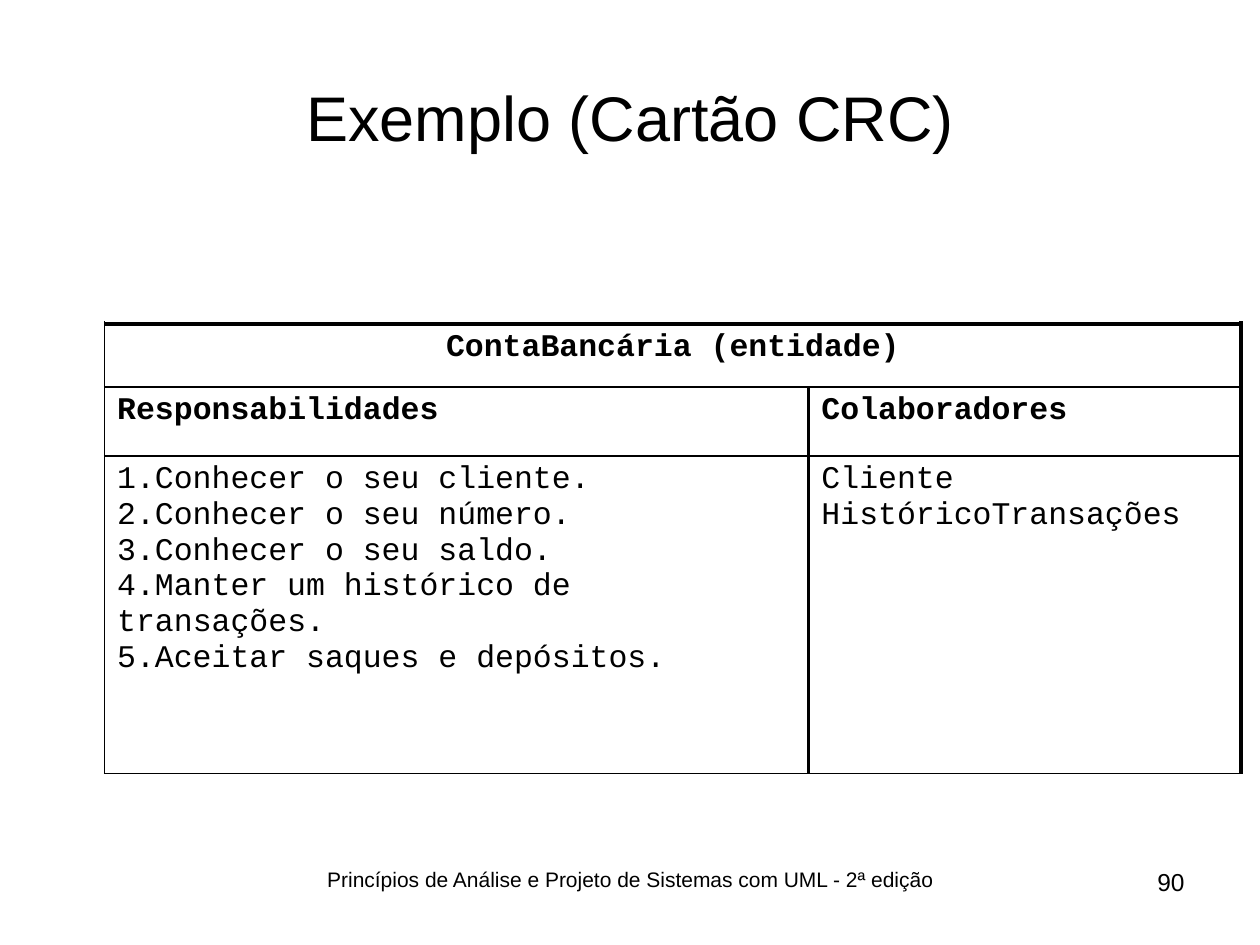
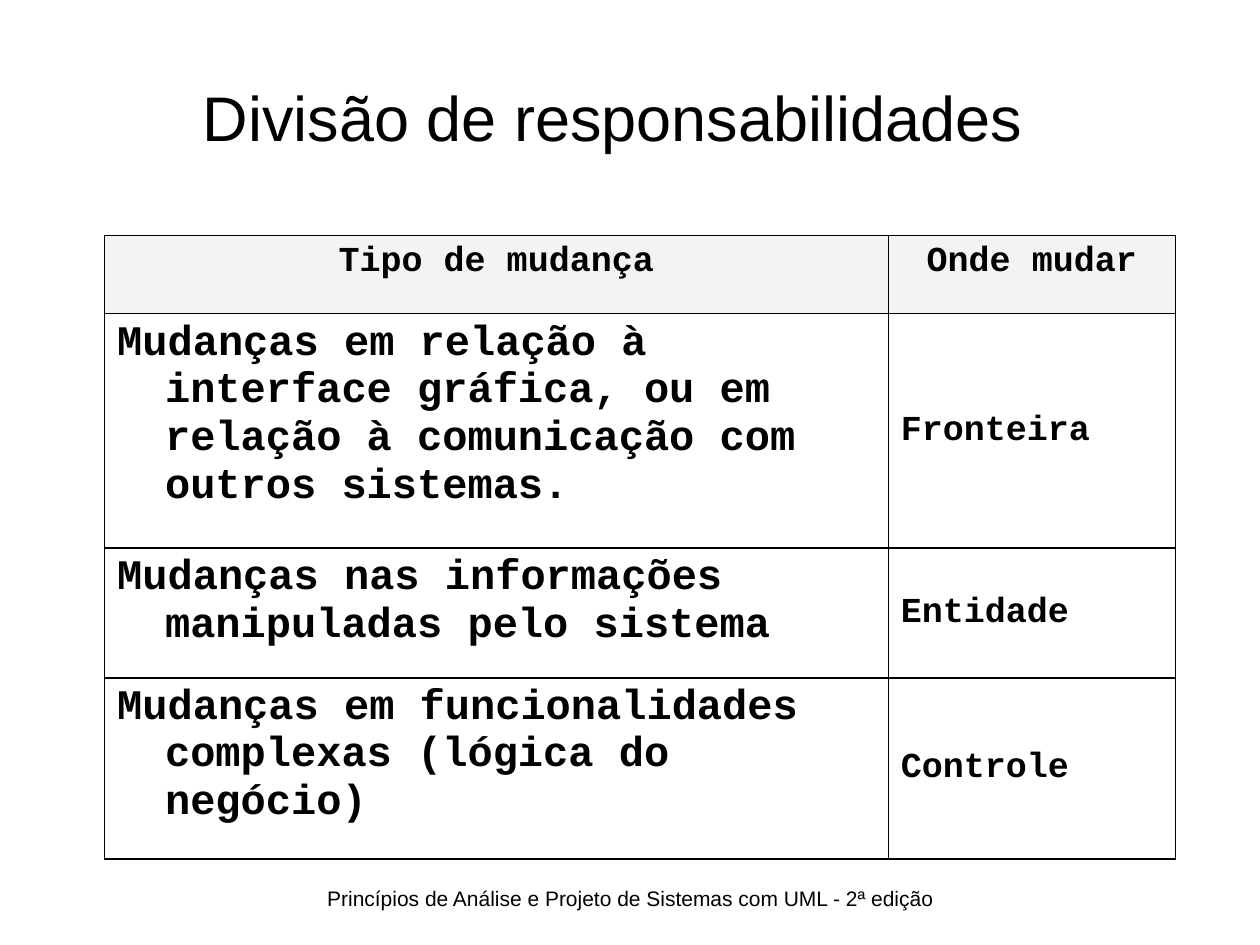
from dataclasses import dataclass

from lxml.etree import SubElement
from pptx import Presentation
from pptx.dml.color import RGBColor
from pptx.enum.text import MSO_ANCHOR as Anchor, PP_ALIGN as Align
from pptx.oxml.ns import qn
from pptx.util import Inches, Pt


@dataclass(frozen=True)
class Theme:
    ink: str = "000000"
    paper: str = "FFFFFF"
    header_fill: str = "F3F3F3"
    sans: str = "Arial"
    mono: str = "Courier New"
    title: int = 36
    footer: int = 12
    page: int = 14
    card: int = 18
    label: int = 20
    change: int = 24


THEME = Theme()
FOOTER = "Princípios de Análise e Projeto de Sistemas com UML - 2ª edição"
HANGING = {"marL": Inches(0.38), "indent": -Inches(0.38)}
THIN = {"L": 1, "R": 1, "T": 1, "B": 1}


def set_attributes(target, values):
    for name, value in values.items():
        setattr(target, name, value)


def write(frame, lines, size, font, align=None, bold=False):
    """Fill a text frame with one paragraph per line."""
    for index, line in enumerate(lines):
        paragraph = frame.paragraphs[0] if index == 0 else frame.add_paragraph()
        paragraph.alignment = align
        run = paragraph.add_run()
        run.text = line
        set_attributes(run.font, {"size": Pt(size), "name": font, "bold": bold})
        run.font.color.rgb = RGBColor.from_string(THEME.ink)


def place(shape, left, top, width, height):
    set_attributes(shape, {"left": Inches(left), "top": Inches(top),
                           "width": Inches(width), "height": Inches(height)})


def add_titled_slide(deck, title, right_inset=0.1):
    slide = deck.slides.add_slide(deck.slide_layouts[5])
    heading = slide.shapes.title
    place(heading, 0.5, 0.3, 9, 1.25)
    set_attributes(heading.text_frame, {"vertical_anchor": Anchor.MIDDLE,
                                        "margin_right": Inches(right_inset)})
    write(heading.text_frame, [title], THEME.title, THEME.sans, Align.CENTER)
    return slide


def add_note(slide, text, left, top, width, size, align):
    note = slide.shapes.add_textbox(Inches(left), Inches(top), Inches(width), Inches(0.52))
    note.text_frame.word_wrap = True
    write(note.text_frame, [text], size, THEME.sans, align)


def add_footer(slide, top):
    add_note(slide, FOOTER, 1.92, top, 6.17, THEME.footer, Align.CENTER)


def add_grid(slide, left, top, columns, rows):
    """Add a plain table with the given column widths and row heights."""
    frame = slide.shapes.add_table(len(rows), len(columns), Inches(left), Inches(top),
                                   Inches(sum(columns)), Inches(sum(rows)))
    grid = frame.table
    set_attributes(grid, {"first_row": False, "horz_banding": False})
    for column, width in zip(grid.columns, columns):
        column.width = Inches(width)
    for row, height in zip(grid.rows, rows):
        row.height = Inches(height)
    return grid


def style_cell(cell, borders, fill=THEME.paper):
    properties = cell._tc.get_or_add_tcPr()
    for side, width in borders.items():
        line = SubElement(properties, qn(f"a:ln{side}"), w=str(Pt(width)))
        SubElement(SubElement(line, qn("a:solidFill")), qn("a:srgbClr"), val=THEME.ink)
    cell.fill.solid()
    cell.fill.fore_color.rgb = RGBColor.from_string(fill)


def number_lines(frame):
    for paragraph in frame.paragraphs:
        properties = paragraph._p.get_or_add_pPr()
        SubElement(properties, qn("a:buFont"), typeface=THEME.mono)
        SubElement(properties, qn("a:buAutoNum"), type="arabicPeriod")
        tabs = SubElement(properties, qn("a:tabLst"))
        SubElement(tabs, qn("a:tab"), pos=str(Inches(0.25)), algn="l")


def hang_lines(frame):
    for paragraph in frame.paragraphs:
        for name, value in HANGING.items():
            paragraph._p.get_or_add_pPr().set(name, str(value))


def build_crc_card(deck):
    slide = add_titled_slide(deck, "Exemplo (Cartão CRC)")
    add_footer(slide, 6.83)
    add_note(slide, "90", 8.17, 6.83, 1.33, THEME.page, Align.RIGHT)

    card = add_grid(slide, 0.83, 2.57, [5.59, 3.43], [0.5, 0.55, 2.52])
    responsibilities = ["Conhecer o seu cliente.", "Conhecer o seu número.",
                        "Conhecer o seu saldo.", "Manter um histórico de transações.",
                        "Aceitar saques e depósitos."]
    collaborators = ["Cliente", "HistóricoTransações"]

    # Class name across both columns
    card.cell(0, 0).merge(card.cell(0, 1))
    write(card.cell(0, 0).text_frame, ["ContaBancária (entidade)"], THEME.card, THEME.mono,
          Align.CENTER, True)
    for column in range(2):
        style_cell(card.cell(0, column), THIN | {"T": 3, "R": 3})

    # Heading and list of each column
    parts = [("Responsabilidades", responsibilities, THIN | {"R": 2}),
             ("Colaboradores", collaborators, THIN | {"L": 2, "R": 3})]
    for column, (heading, items, borders) in enumerate(parts):
        write(card.cell(1, column).text_frame, [heading], THEME.card, THEME.mono,
              Align.JUSTIFY, True)
        write(card.cell(2, column).text_frame, items, THEME.card, THEME.mono)
        for row in (1, 2):
            style_cell(card.cell(row, column), borders)
    number_lines(card.cell(2, 0).text_frame)


def build_responsibility_split(deck):
    # The wider inset sets the heading slightly left of centre
    slide = add_titled_slide(deck, "Divisão de responsabilidades", right_inset=0.38)
    split = add_grid(slide, 0.83, 1.87, [6.22, 2.28], [0.62, 1.86, 1.03, 1.44])
    entries = [
        ("Tipo de mudança", "Onde mudar"),
        ("Mudanças em relação à interface gráfica, ou em relação à comunicação com "
         "outros sistemas.", "Fronteira"),
        ("Mudanças nas informações manipuladas pelo sistema", "Entidade"),
        ("Mudanças em funcionalidades complexas (lógica do negócio)", "Controle"),
    ]
    header_style = (THEME.label, Align.CENTER, Anchor.TOP)
    body_styles = [(THEME.change, Align.LEFT, Anchor.TOP),
                   (THEME.label, Align.JUSTIFY, Anchor.MIDDLE)]
    for row, entry in enumerate(entries):
        for column, text in enumerate(entry):
            cell = split.cell(row, column)
            size, align, anchor = body_styles[column] if row else header_style
            write(cell.text_frame, [text], size, THEME.mono, align, True)
            hang_lines(cell.text_frame)
            cell.vertical_anchor = anchor
            style_cell(cell, THIN, THEME.paper if row else THEME.header_fill)
    add_footer(slide, 6.98)


def main():
    deck = Presentation()
    set_attributes(deck, {"slide_width": Inches(10), "slide_height": Inches(7.5)})
    build_crc_card(deck)
    build_responsibility_split(deck)
    deck.save("out.pptx")


if __name__ == "__main__":
    main()
